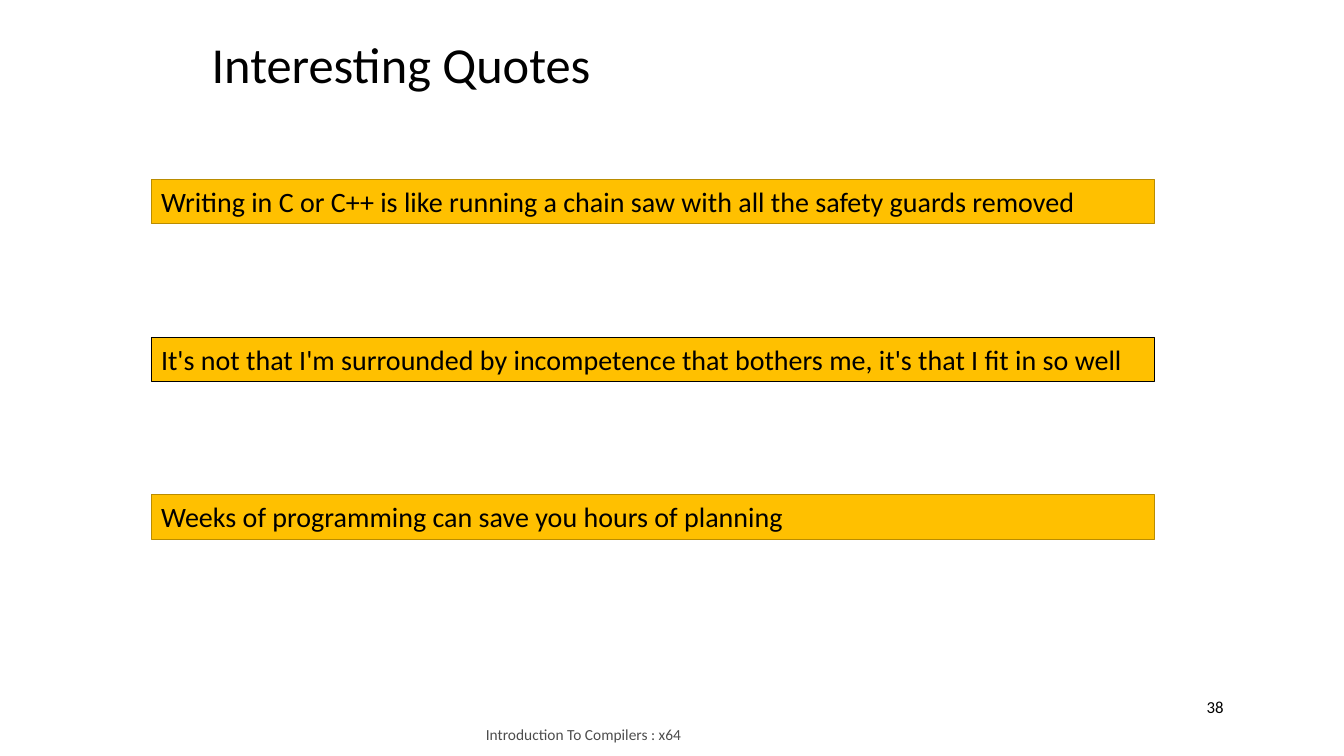
from typing import NamedTuple

from lxml import etree
from pptx import Presentation
from pptx.dml.color import RGBColor
from pptx.enum.shapes import MSO_SHAPE
from pptx.enum.text import MSO_ANCHOR, PP_ALIGN
from pptx.oxml.ns import qn
from pptx.slide import Slide
from pptx.text.text import TextFrame, _Run
from pptx.util import Emu, Inches, Pt

RECT, OVAL = MSO_SHAPE.RECTANGLE, MSO_SHAPE.OVAL
TOP, MIDDLE = MSO_ANCHOR.TOP, MSO_ANCHOR.MIDDLE
LEFT = PP_ALIGN.LEFT
BLACK = RGBColor(0x00, 0x00, 0x00)
GOLD = RGBColor(0xFF, 0xC0, 0x00)
BRONZE = RGBColor(0xBA, 0x8C, 0x00)
FONT = "Calibri"
WIDE, HIGH = Inches(13.33), Inches(7.5)
FIRST, PITCH = 23.73, 20.87


class Area(NamedTuple):
    """Percentages of the slide's width and height."""
    left: float
    top: float
    width: float
    height: float

    def place(self) -> tuple[Emu, Emu, Emu, Emu]:
        return (Emu(round(WIDE * self.left / 100)),
                Emu(round(HIGH * self.top / 100)),
                Emu(round(WIDE * self.width / 100)),
                Emu(round(HIGH * self.height / 100)))


class Quote(NamedTuple):
    text: str
    edge: RGBColor


QUOTES = [
    Quote("Writing in C or C++ is like running a chain saw with all the "
          "safety guards removed", BRONZE),
    Quote("It's not that I'm surrounded by incompetence that bothers me, "
          "it's that I fit in so well", BLACK),
    Quote("Weeks of programming can save you hours of planning", BRONZE),
]


def write(frame: TextFrame, text: str, size: int,
          anchor: MSO_ANCHOR = TOP) -> _Run:
    frame.word_wrap = True
    frame.vertical_anchor = anchor
    line = frame.paragraphs[0]
    line.alignment = LEFT
    run = line.add_run()
    run.text = text
    run.font.name = FONT
    run.font.size = Pt(size)
    run.font.color.rgb = BLACK
    return run


def fade(run: _Run, share: int) -> None:
    color = run.font.fill._xPr.find(f".//{qn('a:srgbClr')}")
    etree.SubElement(color, qn("a:alpha")).set("val", str(share * 1000))


def label(slide: Slide, area: Area, text: str, size: int,
          anchor: MSO_ANCHOR = TOP) -> _Run:
    box = slide.shapes.add_textbox(*area.place())
    return write(box.text_frame, text, size, anchor)


def banner(slide: Slide, quote: Quote, row: int) -> None:
    area = Area(11.25, FIRST + row * PITCH, 74.64, 5.87)
    bar = slide.shapes.add_shape(RECT, *area.place())
    bar.shadow.inherit = False
    bar.fill.solid()
    bar.fill.fore_color.rgb = GOLD
    bar.line.color.rgb = quote.edge
    bar.line.width = Pt(0.75)
    write(bar.text_frame, quote.text, 20)


def number(slide: Slide, area: Area, text: str) -> None:
    disc = slide.shapes.add_shape(OVAL, *area.place())
    disc.shadow.inherit = False
    disc.fill.background()
    disc.line.fill.background()
    write(disc.text_frame, text, 12)


def main() -> None:
    deck = Presentation()
    deck.slide_width, deck.slide_height = WIDE, HIGH
    slide = deck.slides.add_slide(deck.slide_layouts[6])
    label(slide, Area(15, 3.73, 63.77, 9.47), "Interesting Quotes", 36)
    foot = label(slide, Area(35.41, 94.8, 31.13, 4.67),
                 "Introduction To Compilers : x64", 11, MIDDLE)
    fade(foot, 70)
    for row, quote in enumerate(QUOTES):
        banner(slide, quote, row)
    number(slide, Area(88.3, 90.67, 5.1, 5.33), "38")
    deck.save("out.pptx")


if __name__ == "__main__":
    main()
